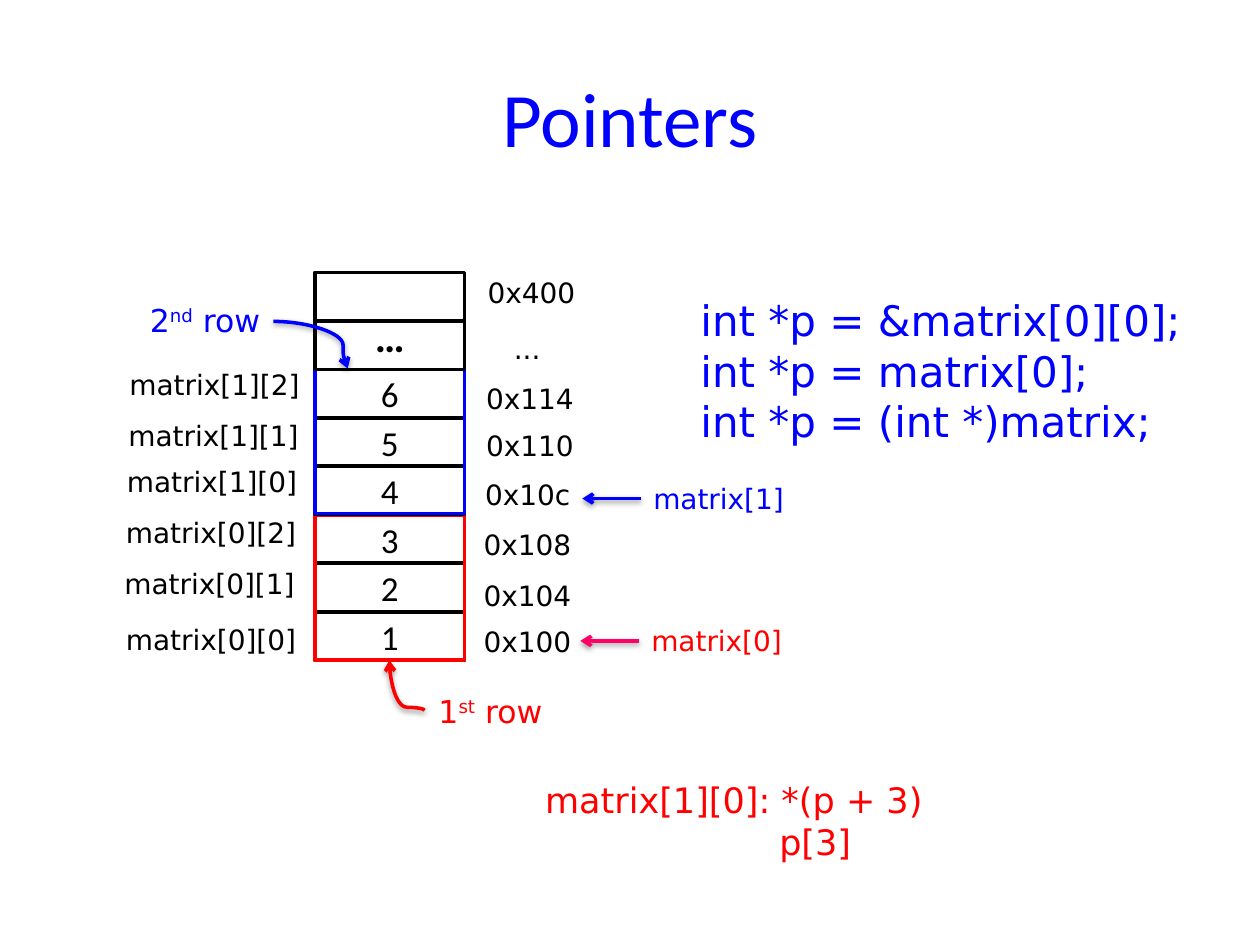
from pptx import Presentation, util as u
from pptx.dml.color import RGBColor
from pptx.enum import shapes, text
from pptx.oxml import parse_xml
from pptx.oxml.ns import nsdecls

BLACK = RGBColor(0, 0, 0)
WHITE = RGBColor(255, 255, 255)
BLUE = RGBColor(0, 0, 255)
RED = RGBColor(255, 0, 0)
PINK = RGBColor(255, 0, 102)
SANS = "DejaVu Sans"
CALIBRI = "Calibri"
STRAIGHT = shapes.MSO_CONNECTOR.STRAIGHT
CURVE = shapes.MSO_CONNECTOR.CURVE

VALUES = ["1", "2", "3", "4", "5", "6", "…", ""]
ROW_FRAMES = {5: (RED, 0), 2: (BLUE, 0.03)}
ADDRESSES = [
    ("0x400", 3.23, -0.05, 2.31), ("...", 3.76, 1.06, 1.14),
    ("0x114", 3.20, 2.08, 2.31), ("0x110", 3.20, 3.02, 2.31),
    ("0x10c", 3.18, 4.01, 2.31), ("0x108", 3.15, 5.03, 2.31),
    ("0x104", 3.15, 6.04, 2.31), ("0x100", 3.15, 6.98, 2.31),
]
ELEMENTS = [
    ("matrix[1][2]", -3.99, 1.80, 4.14), ("matrix[1][1]", -4.01, 2.82, 4.14),
    ("matrix[1][0]", -4.04, 3.76, 4.14), ("matrix[0][2]", -4.06, 4.77, 4.14),
    ("matrix[0][1]", -4.09, 5.81, 4.14), ("matrix[0][0]", -4.06, 6.93, 4.14),
]


def lengths(box):
    """Turn centimetre numbers into slide lengths."""
    return [u.Cm(value) for value in box]


def write(frame, content, size=16, color=BLACK, font=SANS, bold=False,
          align=None, spacing=None, last_indent=0):
    """Write lines of formatted text; parts between carets are superscript."""
    frame.word_wrap = True
    lines = content.split("\n")
    for number, line in enumerate(lines):
        para = frame.add_paragraph() if number else frame.paragraphs[0]
        para.alignment = align
        if spacing:
            para.line_spacing = spacing
        if last_indent and number == len(lines) - 1:
            para._p.get_or_add_pPr().set("marL", str(u.Cm(last_indent)))
        for index, part in enumerate(line.split("^")):
            span = para.add_run()
            span.text = part
            span.font.size = u.Pt(size)
            span.font.name = font
            span.font.bold = bold
            span.font.color.rgb = color
            if index % 2:
                span._r.get_or_add_rPr().set("baseline", "30000")


def add_label(page, box, content, **style):
    """Add a text box that holds formatted text."""
    write(page.shapes.add_textbox(*lengths(box)).text_frame, content, **style)


def add_cell(page, box, color, fill=None):
    """Add an outlined rectangle, filled or open."""
    cell = page.shapes.add_shape(shapes.MSO_SHAPE.RECTANGLE, *lengths(box))
    cell.shadow.inherit = False
    cell.line.color.rgb = color
    cell.line.width = u.Pt(2)
    if fill is None:
        cell.fill.background()
    else:
        cell.fill.solid()
        cell.fill.fore_color.rgb = fill
    return cell


def add_arrow(page, ends, color, kind=STRAIGHT, bend=None, turn=0):
    """Add a shadowed connector with an arrowhead at its end."""
    arrow = page.shapes.add_connector(kind, *lengths(ends))
    arrow.line.color.rgb = color
    arrow.line.width = u.Pt(2)
    arrow.line._get_or_add_ln().append(
        parse_xml(f'<a:tailEnd type="arrow" {nsdecls("a")}/>'))
    properties = arrow._element.spPr
    properties.append(parse_xml(
        f'<a:effectLst {nsdecls("a")}>'
        '<a:outerShdw blurRad="40000" dist="20000" dir="5400000" rotWithShape="0">'
        '<a:srgbClr val="000000"><a:alpha val="38000"/></a:srgbClr>'
        '</a:outerShdw></a:effectLst>'))
    if bend is not None:
        properties.prstGeom.get_or_add_avLst().append(parse_xml(
            f'<a:gd name="adj1" fmla="val {bend}" {nsdecls("a")}/>'))
    if turn:
        properties.xfrm.set("rot", str(turn * 60000))


def add_title(page, box, content):
    """Place and format the title placeholder."""
    title = page.shapes.title
    title.left, title.top, title.width, title.height = lengths(box)
    title.text_frame.vertical_anchor = text.MSO_ANCHOR.MIDDLE
    write(title.text_frame, content, size=44, color=BLUE, font=CALIBRI,
          align=text.PP_ALIGN.CENTER)


def add_memory(page, box):
    """Stack the memory cells with their addresses and element names."""
    left, top, width, height = box
    pitch = height / len(VALUES)
    for number, value in enumerate(VALUES):
        row = len(VALUES) - 1 - number
        cell_top = top + row * pitch
        cell = add_cell(page, (left, cell_top, width, pitch), BLACK, WHITE)
        cell.text_frame.vertical_anchor = text.MSO_ANCHOR.MIDDLE
        if value:
            dots = value == "…"
            write(cell.text_frame, value, size=24 if dots else 20, font=CALIBRI,
                  bold=dots, spacing=0.5 if dots else None,
                  align=text.PP_ALIGN.CENTER)
        if row in ROW_FRAMES:
            color, lift = ROW_FRAMES[row]
            add_cell(page, (left, cell_top - lift, width, 3 * pitch), color)
    for content, across, down, label_width in ADDRESSES + ELEMENTS:
        add_label(page, (left + across, top + down, label_width, 0.94), content)


def add_row_notes(page, box):
    """Name both matrix rows beside the memory column."""
    left, top, width, height = box
    add_label(page, (left - 3.58, top + 0.45, 2.87, 1.02), "2^nd^ row",
              size=18, color=BLUE)
    add_arrow(page, (left - 0.84, top + 0.99, left + 0.66, top + 1.94),
              BLUE, CURVE, bend=93800)
    bottom = top + height
    add_label(page, (left + 2.24, bottom + 0.51, 2.72, 1.02), "1^st^ row",
              size=18, color=RED)
    add_arrow(page, (left + 1.35, bottom + 0.86, left + 2.36, bottom + 0.15),
              RED, CURVE, bend=6000, turn=270)


def add_pointer(page, box, content, arrow_color, color):
    """Add a left-pointing arrow followed by its label."""
    left, top, width, height = box
    length = 1.18
    middle = top + height / 2
    add_arrow(page, (left + length, middle, left, middle), arrow_color)
    add_label(page, (left + length, top, width - length, height), content,
              color=color)


def main():
    """Build the slide and save the deck."""
    deck = Presentation()
    deck.slide_width, deck.slide_height = lengths((25.4, 19.05))
    page = deck.slides.add_slide(deck.slide_layouts[5])
    memory = (6.35, 5.49, 3.02, 7.82)
    add_title(page, (1.27, 0.76, 22.86, 3.18), "Pointers")
    add_memory(page, memory)
    add_row_notes(page, memory)
    add_pointer(page, (11.74, 9.58, 4.43, 0.94), "matrix[1]", BLUE, BLUE)
    add_pointer(page, (11.7, 12.45, 4.43, 0.94), "matrix[0]", PINK, RED)
    add_label(page, (13.87, 5.82, 11.79, 4.37),
              "int *p = &matrix[0][0];\nint *p = matrix[0];\n"
              "int *p = (int *)matrix;", size=24, color=BLUE)
    add_label(page, (10.74, 15.57, 13.82, 1.96),
              "matrix[1][0]: *(p + 3)\np[3]", size=20, color=RED,
              last_indent=4.72)
    deck.save("out.pptx")


if __name__ == "__main__":
    main()
